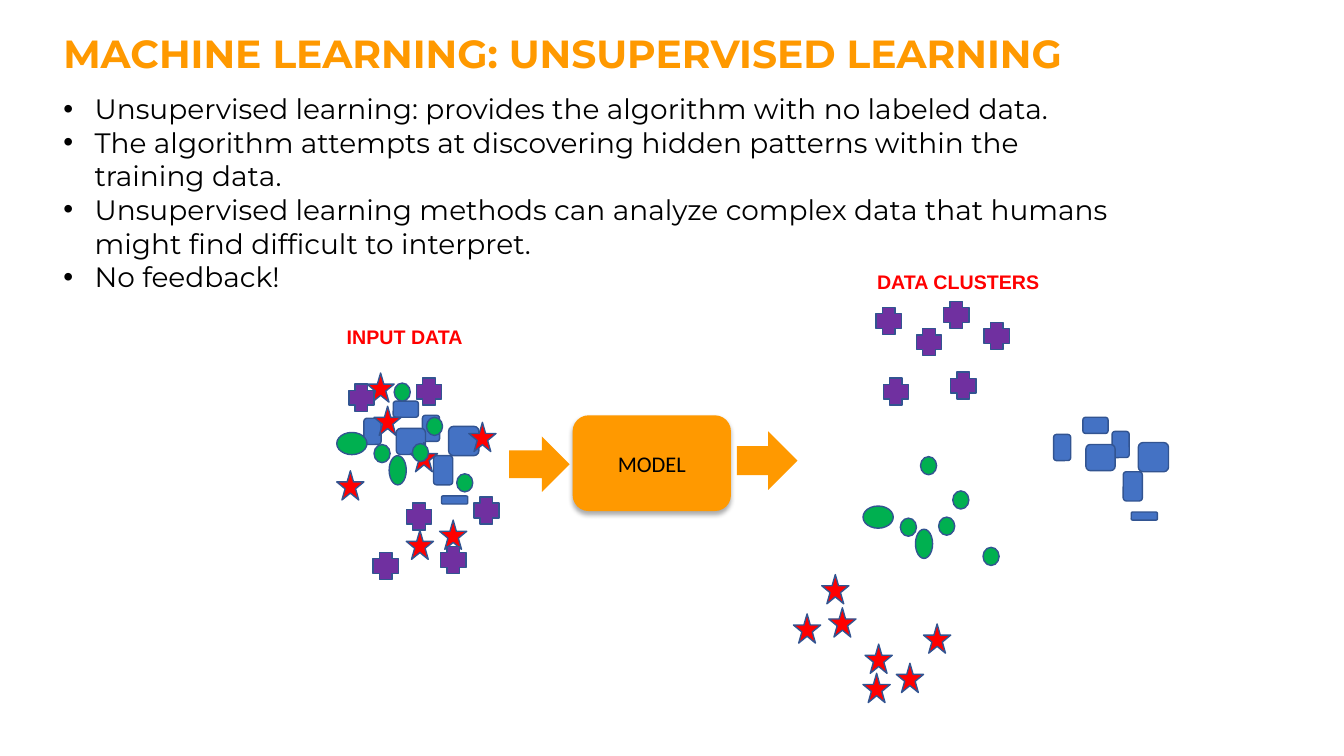
from lxml import etree
from pptx import Presentation
from pptx.dml.color import RGBColor
from pptx.enum.shapes import MSO_SHAPE as Preset
from pptx.enum.text import MSO_ANCHOR as Anchor, MSO_AUTO_SIZE as AutoSize, PP_ALIGN as Align
from pptx.oxml.ns import qn
from pptx.util import Inches, Pt

ORANGE, RED, GREEN, PURPLE, BLUE = "FF9900", "FF0000", "00B050", "7030A0", "4472C4"
BLACK, OUTLINE = "000000", "325491"

TITLE_FORMAT = {"name": "Montserrat", "size": Pt(28), "bold": True, "color": ORANGE}
BODY_FORMAT = {"name": "Montserrat", "size": Pt(20), "color": BLACK}
MODEL_FORMAT = {"name": "Calibri", "size": Pt(16), "color": BLACK}
LABEL_FORMAT = {"name": "Arial", "size": Pt(14), "bold": True, "color": RED}

BULLETS = [
    "Unsupervised learning: provides the algorithm with no labeled data.",
    "The algorithm attempts at discovering hidden patterns within the training data.",
    "Unsupervised learning methods can analyze complex data that humans "
    "might find difficult to interpret.",
    "No feedback!",
]

STAR, DOT, CROSS = (0.27, 0.29), (0.16, 0.18), (0.25, 0.27)

# Preset, fill, shift from the input data to the cluster, then (left, top, size) of each item
DATA_GROUPS = [
    (Preset.ROUNDED_RECTANGLE, BLUE, (6.84, 0.16), [
        (4.19, 4.12, (0.17, 0.26)), (4.3, 4.52, (0.19, 0.29)), (4.45, 4.23, (0.3, 0.29)),
        (4.38, 4.92, (0.26, 0.08)), (3.61, 4.15, (0.17, 0.26)), (3.9, 3.98, (0.25, 0.16)),
        (3.93, 4.25, (0.29, 0.26))]),
    (Preset.STAR_5_POINT, RED, (4.53, 1.42), [
        (4.03, 5.26, STAR), (4.36, 5.16, STAR), (3.34, 4.67, STAR)]),
    (Preset.STAR_5_POINT, RED, (4.51, 2), [
        (3.71, 4.03, STAR), (4.07, 4.39, STAR), (4.65, 4.19, STAR), (3.64, 3.7, STAR)]),
    (Preset.OVAL, GREEN, (5.22, 0.73), [
        (3.86, 4.52, (0.17, 0.29)), (4.09, 4.4, DOT), (4.53, 4.7, DOT), (3.91, 3.8, DOT),
        (3.71, 4.41, DOT), (4.23, 4.14, DOT), (3.34, 4.29, (0.3, 0.22))]),
    (Preset.CROSS, PURPLE, (5.06, -1.73), [
        (4.03, 4.99, CROSS), (4.7, 4.93, CROSS), (3.7, 5.48, CROSS), (4.37, 5.42, CROSS)]),
    (Preset.CROSS, PURPLE, (5.23, -0.76), [(3.46, 3.81, CROSS), (4.13, 3.75, CROSS)]),
]


def rgb(color):
    return RGBColor.from_string(color)


def apply_format(font, values):
    for name, value in values.items():
        if name == "color":
            font.color.rgb = rgb(value)
        else:
            setattr(font, name, value)


def add_bullet(para):
    props = para._p.get_or_add_pPr()
    props.set("marL", str(Inches(0.31)))
    props.set("indent", str(-Inches(0.31)))
    color = etree.SubElement(props, qn("a:buClr"))
    etree.SubElement(color, qn("a:srgbClr"), val=BLACK)
    etree.SubElement(props, qn("a:buFont"), typeface="Arial")
    etree.SubElement(props, qn("a:buChar"), char="•")


def add_text(page, place, lines, values, wrap=True, bulleted=False):
    box = page.shapes.add_textbox(*map(Inches, place))
    frame = box.text_frame
    frame.word_wrap = wrap
    frame.auto_size = AutoSize.SHAPE_TO_FIT_TEXT
    for index, line in enumerate(lines):
        para = frame.add_paragraph() if index else frame.paragraphs[0]
        if bulleted:
            add_bullet(para)
        span = para.add_run()
        span.text = line
        apply_format(span.font, values)


def add_shape(page, preset, place, fill, line=None):
    shape = page.shapes.add_shape(preset, *map(Inches, place))
    shape.shadow.inherit = False
    shape.fill.solid()
    shape.fill.fore_color.rgb = rgb(fill)
    if line:
        shape.line.color.rgb = rgb(line)
        shape.line.width = Pt(1)
    else:
        shape.line.fill.background()
    return shape


def add_shadow(shape):
    """Put a soft shadow straight below the shape."""
    effects = shape._element.spPr.find(qn("a:effectLst"))
    shadow = etree.SubElement(effects, qn("a:outerShdw"), blurRad=str(Pt(3.5)),
                              dist=str(Pt(2.2)), dir="5400000", rotWithShape="0")
    color = etree.SubElement(shadow, qn("a:srgbClr"), val=BLACK)
    etree.SubElement(color, qn("a:alpha"), val="32000")


def add_model(page):
    model = add_shape(page, Preset.ROUNDED_RECTANGLE, (5.68, 4.12, 1.57, 0.95), ORANGE)
    add_shadow(model)
    model.text_frame.vertical_anchor = Anchor.MIDDLE
    para = model.text_frame.paragraphs[0]
    para.alignment = Align.CENTER
    span = para.add_run()
    span.text = "MODEL"
    apply_format(span.font, MODEL_FORMAT)
    for place in [(7.31, 4.28, 0.6, 0.58), (5.05, 4.33, 0.6, 0.55)]:
        add_shape(page, Preset.RIGHT_ARROW, place, ORANGE)


def add_data(page, clustered):
    """Draw the items mixed together, or each group shifted to its cluster."""
    for preset, fill, shift, items in DATA_GROUPS:
        right, down = shift if clustered else (0, 0)
        for left, top, size in items:
            add_shape(page, preset, (left + right, top + down, *size), fill, OUTLINE)


def main():
    deck = Presentation()
    deck.slide_width, deck.slide_height = Inches(13.33), Inches(7.5)
    page = deck.slides.add_slide(deck.slide_layouts[6])
    add_text(page, (0.53, 0.24, 10.75, 0.57),
             ["MACHINE LEARNING: UNSUPERVISED LEARNING"], TITLE_FORMAT)
    add_text(page, (0.53, 0.86, 10.61, 2.12), BULLETS, BODY_FORMAT, bulleted=True)
    add_model(page)
    for clustered in (False, True):
        add_data(page, clustered)
    add_text(page, (3.34, 3.17, 1.41, 0.34), ["INPUT DATA"], LABEL_FORMAT, wrap=False)
    add_text(page, (8.6, 2.63, 1.82, 0.34), ["DATA CLUSTERS"], LABEL_FORMAT, wrap=False)
    deck.save("out.pptx")


if __name__ == "__main__":
    main()
